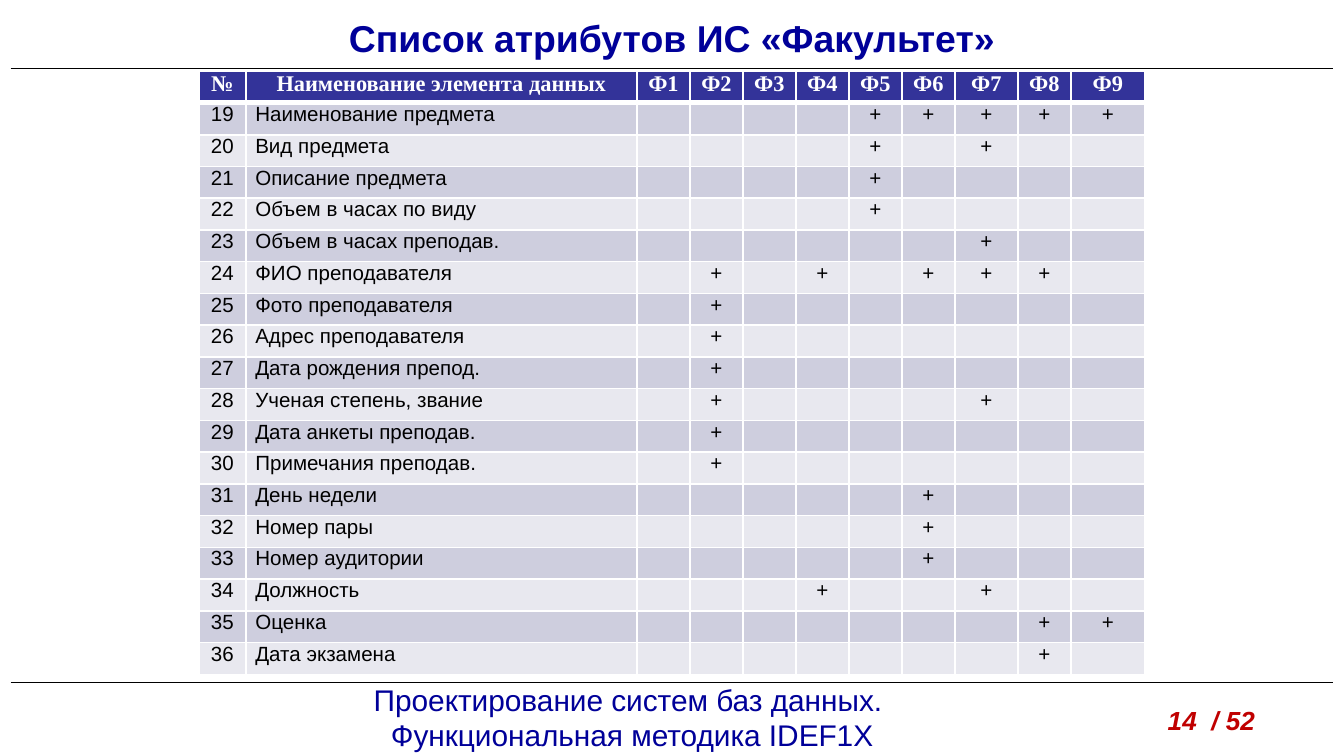
from dataclasses import dataclass

from lxml import etree
from pptx import Presentation
from pptx import util as u
from pptx.dml.color import RGBColor
from pptx.enum import shapes, text
from pptx.oxml.ns import qn

COLORS = {
    "navy": "000099",
    "red": "C00000",
    "black": "000000",
    "white": "FFFFFF",
    "header": "333399",
    "odd": "CECEDE",
    "even": "E8E8EF",
}
CENTER, LEFT = text.PP_ALIGN.CENTER, text.PP_ALIGN.LEFT
SLIDE_WIDTH = 10
SLIDE_HEIGHT = SLIDE_WIDTH * 9 / 16
TITLE_FORMAT = {"name": "Arial", "size": u.Pt(20), "bold": True}
FOOTER_FORMAT = {"name": "Arial", "size": u.Pt(16), "bold": False}
PAGE_FORMAT = {"name": "Arial", "size": u.Pt(14), "bold": True, "italic": True}
HEADER_FORMAT = {"name": "Times New Roman", "size": u.Pt(12), "bold": True}
BODY_FORMAT = {"name": "Arial", "size": u.Pt(11), "bold": False}
CELL_MARGINS = {"margin_left": u.Inches(0.07), "margin_right": u.Inches(0.07),
                "margin_top": 0, "margin_bottom": 0}


@dataclass
class Attribute:
    name: str
    forms: tuple[int, ...]


FIRST_NUMBER = 19
FORM_COUNT = 9
ATTRIBUTES = [
    Attribute("Наименование предмета", (5, 6, 7, 8, 9)),
    Attribute("Вид предмета", (5, 7)),
    Attribute("Описание предмета", (5,)),
    Attribute("Объем в часах по виду", (5,)),
    Attribute("Объем в часах преподав.", (7,)),
    Attribute("ФИО преподавателя", (2, 4, 6, 7, 8)),
    Attribute("Фото преподавателя", (2,)),
    Attribute("Адрес преподавателя", (2,)),
    Attribute("Дата рождения препод.", (2,)),
    Attribute("Ученая степень, звание", (2, 7)),
    Attribute("Дата анкеты преподав.", (2,)),
    Attribute("Примечания преподав.", (2,)),
    Attribute("День недели", (6,)),
    Attribute("Номер пары", (6,)),
    Attribute("Номер аудитории", (6,)),
    Attribute("Должность", (4, 7)),
    Attribute("Оценка", (8, 9)),
    Attribute("Дата экзамена", (8,)),
]
TABLE_LEFT, TABLE_TOP, TABLE_WIDTH, TABLE_HEIGHT = 1.48, 0.53, 7.04, 4.49
WIDE_COLUMNS = {0: 0.35, 1: 2.91, 8: 0.47, 10: 0.55}


def rgb(color: str) -> RGBColor:
    return RGBColor.from_string(COLORS[color])


def write(paragraph, words: str, values: dict, color: str, align) -> None:
    paragraph.alignment = align
    run = paragraph.add_run()
    run.text = words
    for key, value in values.items():
        setattr(run.font, key, value)
    run.font.color.rgb = rgb(color)


def add_text(slide, box: tuple, lines: list[str], values: dict, color: str, align) -> None:
    frame = slide.shapes.add_textbox(*map(u.Inches, box)).text_frame
    frame.word_wrap = True
    for index, line in enumerate(lines):
        paragraph = frame.add_paragraph() if index else frame.paragraphs[0]
        write(paragraph, line, values, color, align)


def add_rule(slide, top: float) -> None:
    rule = slide.shapes.add_connector(
        shapes.MSO_CONNECTOR.STRAIGHT,
        u.Inches(0.08), u.Inches(top), u.Inches(9.92), u.Inches(top))
    rule.line.color.rgb = rgb("black")
    rule.line.width = u.Pt(0.75)
    etree.SubElement(rule._element.spPr, qn("a:effectLst"))


def add_borders(cell, row: int) -> None:
    thick = {0: "lnB", 1: "lnT"}.get(row)
    properties = cell._tc.get_or_add_tcPr()
    for side in ("lnL", "lnR", "lnT", "lnB"):
        width = u.Pt(3 if side == thick else 1)
        border = etree.SubElement(properties, qn(f"a:{side}"), w=str(int(width)))
        fill = etree.SubElement(border, qn("a:solidFill"))
        etree.SubElement(fill, qn("a:srgbClr"), val=COLORS["white"])


def fill_cell(cell, words: str, row: int, column: int) -> None:
    for key, value in CELL_MARGINS.items():
        setattr(cell, key, value)
    add_borders(cell, row)
    cell.fill.solid()
    cell.fill.fore_color.rgb = rgb("header" if row == 0 else "odd" if row % 2 else "even")
    paragraph = cell.text_frame.paragraphs[0]
    if not words:
        etree.SubElement(paragraph._p, qn("a:endParaRPr"), sz="1100")
    elif row == 0:
        write(paragraph, words, HEADER_FORMAT, "white", CENTER)
    else:
        write(paragraph, words, BODY_FORMAT, "black", LEFT if column == 1 else CENTER)


def add_attribute_table(slide) -> None:
    forms = range(1, FORM_COUNT + 1)
    rows = [["№", "Наименование элемента данных", *(f"Ф{form}" for form in forms)]]
    for number, attribute in enumerate(ATTRIBUTES, FIRST_NUMBER):
        marks = ["+" if form in attribute.forms else "" for form in forms]
        rows.append([str(number), attribute.name, *marks])
    column_count = len(rows[0])
    table = slide.shapes.add_table(
        len(rows), column_count, u.Inches(TABLE_LEFT), u.Inches(TABLE_TOP),
        u.Inches(TABLE_WIDTH), u.Inches(TABLE_HEIGHT)).table
    narrow = (TABLE_WIDTH - sum(WIDE_COLUMNS.values())) / (column_count - len(WIDE_COLUMNS))
    for index, column in enumerate(table.columns):
        column.width = u.Inches(WIDE_COLUMNS.get(index, narrow))
    for row, values in enumerate(rows):
        table.rows[row].height = u.Inches(TABLE_HEIGHT / len(rows))
        for column, words in enumerate(values):
            fill_cell(table.cell(row, column), words, row, column)


def add_title(slide) -> None:
    title = slide.shapes.title
    place = {"left": 0, "top": 0.06, "width": SLIDE_WIDTH, "height": 0.45}
    for key, value in place.items():
        setattr(title, key, u.Inches(value))
    title.text_frame.vertical_anchor = text.MSO_ANCHOR.TOP
    write(title.text_frame.paragraphs[0], "Список атрибутов ИС «Факультет»",
          TITLE_FORMAT, "navy", CENTER)


def main() -> None:
    deck = Presentation()
    deck.slide_width, deck.slide_height = u.Inches(SLIDE_WIDTH), u.Inches(SLIDE_HEIGHT)
    slide = deck.slides.add_slide(deck.slide_layouts[5])
    add_text(slide, (0.82, 5.02, 7.77, 0.64),
             ["Проектирование систем баз данных. ", "Функциональная методика IDEF1X"],
             FOOTER_FORMAT, "navy", CENTER)
    for top in (5.08, 0.51):
        add_rule(slide, top)
    add_text(slide, (8.59, 5.19, 1.02, 0.34), ["14  / 52"], PAGE_FORMAT, "red", LEFT)
    add_title(slide)
    add_attribute_table(slide)
    deck.save("out.pptx")


if __name__ == "__main__":
    main()
